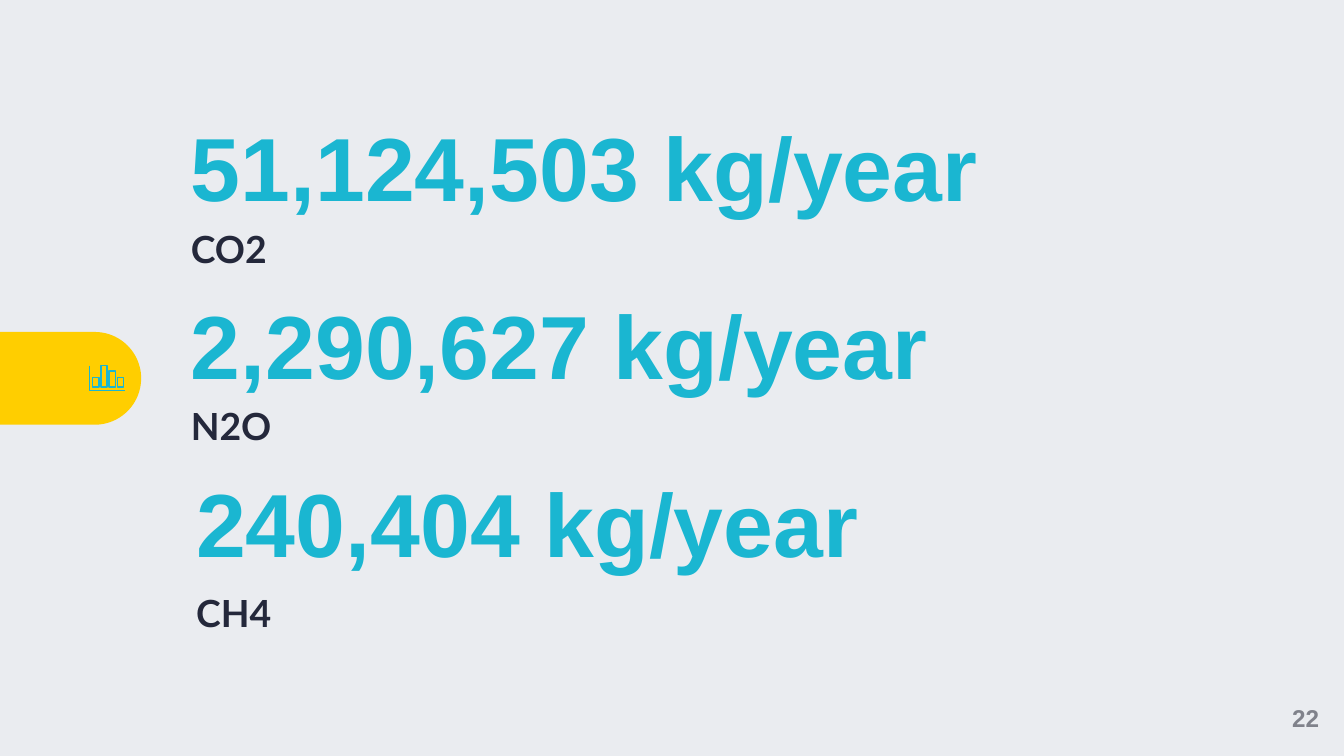
from dataclasses import dataclass

from pptx import Presentation
from pptx.dml.color import RGBColor
from pptx.enum.shapes import MSO_SHAPE
from pptx.enum.text import MSO_ANCHOR, MSO_AUTO_SIZE, PP_ALIGN
from pptx.util import Inches, Pt

CELL = Inches(0.1)
TEAL, NAVY, GRAY = "1AB6D1", "24283B", "80828B"
GOLD, PALE = "FFCE00", "EAECF0"


@dataclass
class Box:
    col: float
    row: float
    wide: float
    high: float

    def emu(self) -> list[int]:
        return [grid(n) for n in (self.col, self.row, self.wide, self.high)]


@dataclass
class Style:
    size: float
    font: str
    color: str
    lead: float = 1.0
    after: float = 0
    align: PP_ALIGN = PP_ALIGN.LEFT
    anchor: MSO_ANCHOR = MSO_ANCHOR.MIDDLE


@dataclass
class Fact:
    value: str
    gas: str
    col: float
    drop: float


HEAD = Style(48, "Arial", TEAL, lead=0.9)
LABEL = Style(20, "Lato", NAVY, lead=1.15, after=8, anchor=MSO_ANCHOR.TOP)
PAGE = Style(13, "Arial", GRAY, align=PP_ALIGN.CENTER)

FACTS = [
    Fact("51,124,503 kg/year", "CO2", 14.2, 8.4),
    Fact("2,290,627 kg/year", "N2O", 14.2, 8.35),
    Fact("240,404 kg/year", "CH4", 14.6, 9),
]
TOP, PITCH, WIDE = 7.9, 13.25, 76.4
BARS = [0.7, 1.6, 1.2, 0.7]


def grid(n: float) -> int:
    return round(n * CELL)


def paint(fill, color: str) -> None:
    fill.solid()
    fill.fore_color.rgb = RGBColor.from_string(color)


def write(shape, box: Box, text: str, style: Style) -> None:
    shape.left, shape.top, shape.width, shape.height = box.emu()
    frame = shape.text_frame
    frame.word_wrap = True
    frame.auto_size = MSO_AUTO_SIZE.NONE
    frame.vertical_anchor = style.anchor
    frame.margin_left = frame.margin_right = 0
    frame.margin_top = frame.margin_bottom = 0
    para = frame.paragraphs[0]
    para.alignment = style.align
    para.line_spacing = style.lead
    para.space_before, para.space_after = Pt(0), Pt(style.after)
    run = para.add_run()
    run.text = text
    run.font.name, run.font.size, run.font.bold = style.font, Pt(style.size), True
    run.font.color.rgb = RGBColor.from_string(style.color)


def stroke(shape) -> None:
    shape.shadow.inherit = False
    shape.fill.background()
    paint(shape.line.fill, TEAL)
    shape.line.width = Pt(0.75)


def draw_tab(slide) -> None:
    tab = slide.shapes.add_shape(
        MSO_SHAPE.ROUND_2_SAME_RECTANGLE, *Box(1.8, 22.9, 6.9, 10.5).emu())
    tab.adjustments[0], tab.adjustments[1] = 0.5, 0
    tab.rotation = 90
    tab.shadow.inherit = False
    paint(tab.fill, GOLD)
    tab.line.fill.background()


def draw_icon(slide) -> None:
    icon = slide.shapes.add_group_shape().shapes
    pen = icon.build_freeform(grid(6.65), grid(27.2))
    pen.add_line_segments(
        [(grid(6.65), grid(29.05)), (grid(9.3), grid(29.05))], close=False)
    stroke(pen.convert_to_shape())
    for i, high in enumerate(BARS):
        box = Box(6.9 + i * 0.61, 28.8 - high, 0.46, high)
        stroke(icon.add_shape(MSO_SHAPE.RECTANGLE, *box.emu()))


def main() -> None:
    deck = Presentation()
    deck.slide_width = Inches(10)
    deck.slide_height = deck.slide_width * 9 // 16
    slide = deck.slides.add_slide(deck.slide_layouts[0])
    paint(slide.background.fill, PALE)
    draw_tab(slide)
    for i, fact in enumerate(FACTS):
        row = TOP + i * PITCH
        if i == 0:
            head, label = slide.placeholders
        else:
            head, label = (slide.shapes.add_textbox(0, 0, 0, 0) for _ in range(2))
        write(head, Box(fact.col, row, WIDE, 9.8), fact.value, HEAD)
        write(label, Box(fact.col, row + fact.drop, WIDE, 5.1), fact.gas, LABEL)
    page = slide.shapes.add_textbox(0, 0, 0, 0)
    write(page, Box(94.3, 50.6, 5.7, 5.6), "22", PAGE)
    draw_icon(slide)
    deck.save("out.pptx")


if __name__ == "__main__":
    main()
